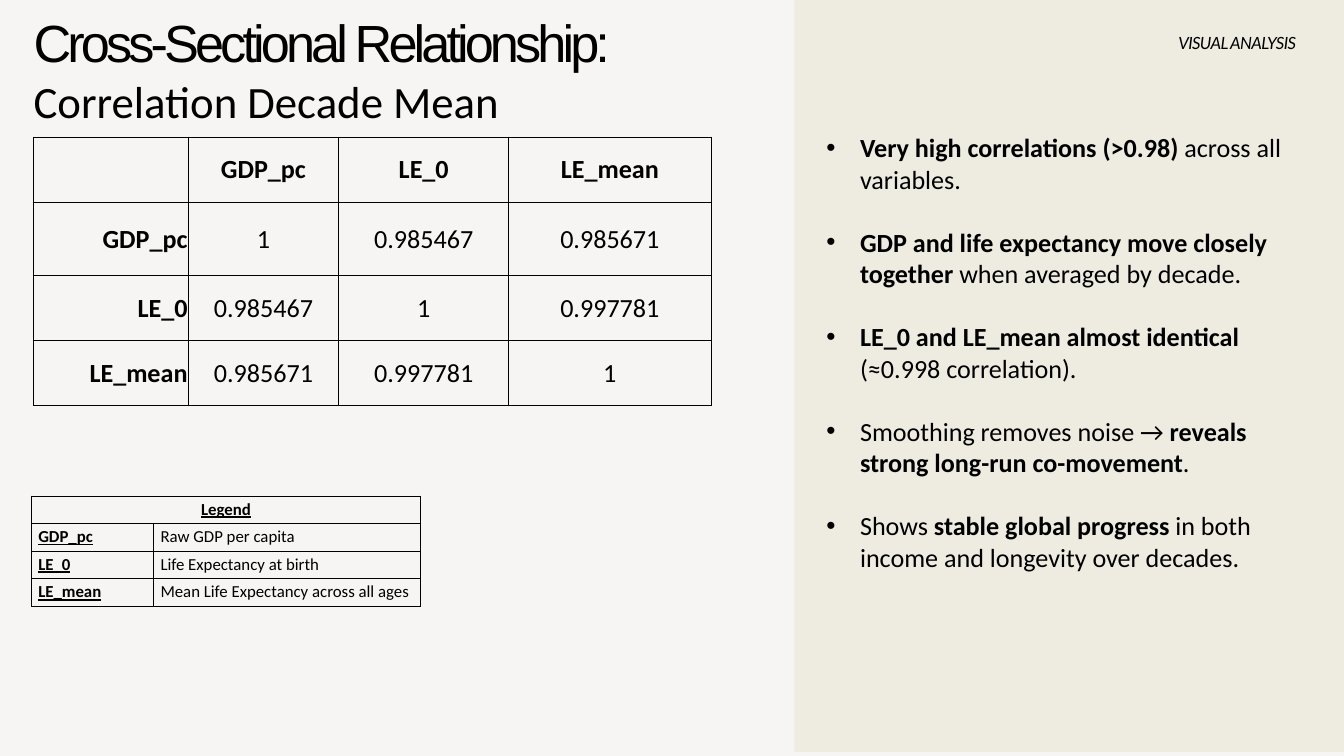
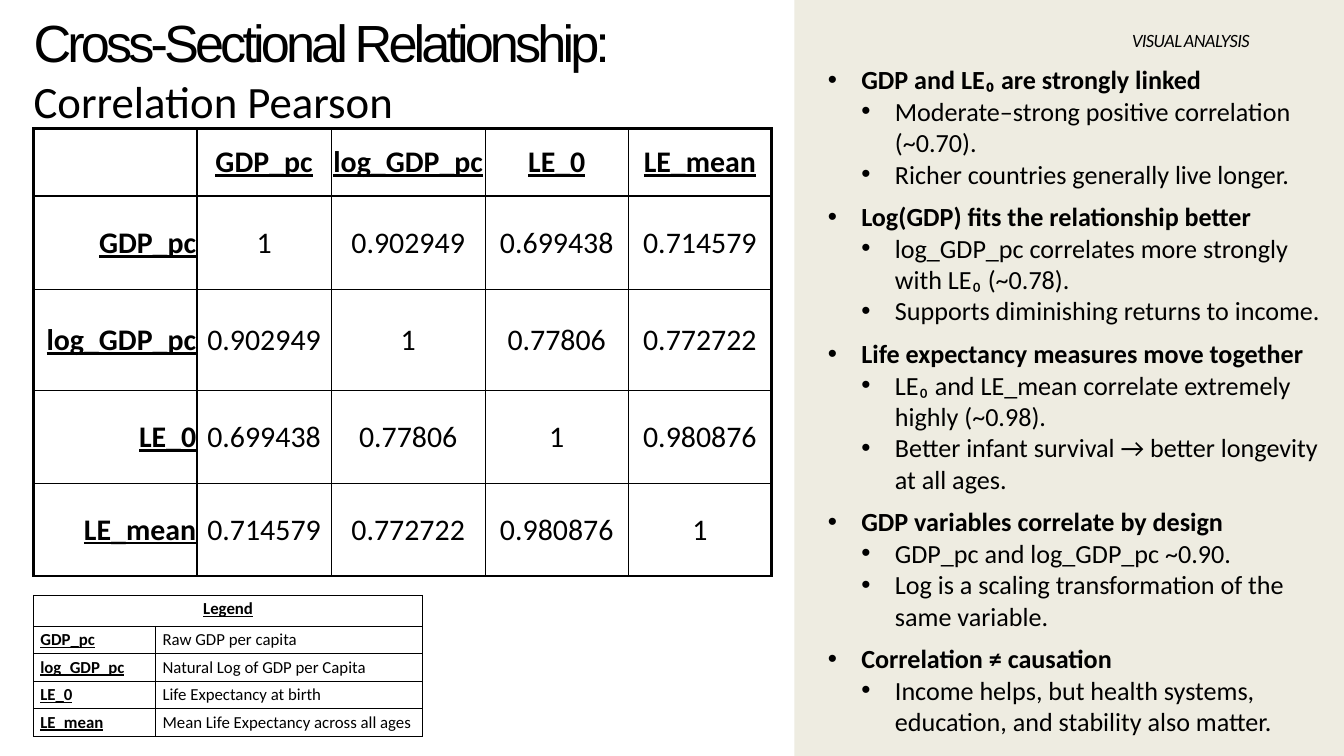
from lxml import etree
from pptx import Presentation
from pptx.dml.color import RGBColor
from pptx.enum.shapes import MSO_SHAPE
from pptx.enum.text import MSO_ANCHOR, MSO_AUTO_SIZE, PP_ALIGN
from pptx.oxml.ns import qn
from pptx.util import Pt

LEFT, CENTER, RIGHT = PP_ALIGN.LEFT, PP_ALIGN.CENTER, PP_ALIGN.RIGHT
TOP, MIDDLE = MSO_ANCHOR.TOP, MSO_ANCHOR.MIDDLE
GROW = MSO_AUTO_SIZE.SHAPE_TO_FIT_TEXT
RECTANGLE = MSO_SHAPE.RECTANGLE

COLORS = {"ink": "000000", "band": "EEECE1", "paper": "F6F5F3", "white": "FFFFFF"}
BODY_FONT, TITLE_FONT, LABEL_FONT = "Calibri", "Arial", "Lato"
SLIDE_WIDTH, SLIDE_HEIGHT = 1440, 810
BAND_LEFT = 851
TITLE_BOX = (36, 31, 929.5, 106.6)
LABEL_SIZE = (224.6, 24.5)
THIN, THICK = 1, 3
CELL_MARGIN = 0.72
LEGEND_COLUMNS = (131, 285.8)
LEGEND_ROW = 29.5
INDENT = 36

MEANINGS = {
    "GDP_pc": "Raw GDP per capita",
    "log_GDP_pc": "Natural Log of GDP per Capita",
    "LE_0": "Life Expectancy at birth",
    "LE_mean": "Mean Life Expectancy across all ages",
}

DECADE_NAMES = ["GDP_pc", "LE_0", "LE_mean"]
DECADE_VALUES = [
    ["1", "0.985467", "0.985671"],
    ["0.985467", "1", "0.997781"],
    ["0.985671", "0.997781", "1"],
]
PEARSON_NAMES = ["GDP_pc", "log_GDP_pc", "LE_0", "LE_mean"]
PEARSON_VALUES = [
    ["1", "0.902949", "0.699438", "0.714579"],
    ["0.902949", "1", "0.77806", "0.772722"],
    ["0.699438", "0.77806", "1", "0.980876"],
    ["0.714579", "0.772722", "0.980876", "1"],
]

# Bullets are (level, text); ** switches bold on and off.
DECADE_BULLETS = [
    (0, "**Very high correlations (>0.98)** across all variables."),
    (0, "**GDP and life expectancy move closely together** when averaged by decade."),
    (0, "**LE_0 and LE_mean almost identical** (≈0.998 correlation)."),
    (0, "Smoothing removes noise → **reveals strong long-run co-movement**."),
    (0, "Shows **stable global progress** in both income and longevity over decades."),
]
PEARSON_BULLETS = [
    (0, "**GDP and LE₀ are strongly linked**"),
    (1, "Moderate–strong positive correlation (~0.70)."),
    (1, "Richer countries generally live longer."),
    (0, "**Log(GDP) fits the relationship better**"),
    (1, "log_GDP_pc correlates more strongly with LE₀ (~0.78)."),
    (1, "Supports diminishing returns to income."),
    (0, "**Life expectancy measures move together**"),
    (1, "LE₀ and LE_mean correlate extremely highly (~0.98)."),
    (1, "Better infant survival → better longevity at all ages."),
    (0, "**GDP variables correlate by design**"),
    (1, "GDP_pc and log_GDP_pc ~0.90."),
    (1, "Log is a scaling transformation of the same variable."),
    (0, "**Correlation ≠ causation**"),
    (1, "Income helps, but health systems, education, and stability also matter."),
]


def color(name):
    return RGBColor.from_string(COLORS[name])


def points(values):
    return [Pt(value) for value in values]


def write(paragraph, text, size, font=BODY_FONT, bold=False, italic=False,
          underline=False, spacing=0, align=LEFT, line=None):
    """Add one formatted run; spacing is between letters, line is exact."""
    paragraph.alignment = align
    if line:
        paragraph.line_spacing = Pt(line)
    run = paragraph.add_run()
    run.text = text
    run.font.size = Pt(size)
    run.font.name = font
    run.font.bold = bold
    run.font.italic = italic
    run.font.underline = underline
    run.font.color.rgb = color("ink")
    if spacing:
        run._r.get_or_add_rPr().set("spc", str(round(spacing * 100)))


def prepare_frame(shape, margin=None):
    frame = shape.text_frame
    frame.word_wrap = True
    frame.auto_size = GROW
    frame.vertical_anchor = TOP
    if margin is not None:
        frame.margin_left = frame.margin_right = Pt(margin)
        frame.margin_top = frame.margin_bottom = Pt(margin)
    return frame


def add_band(slide, height):
    band = slide.shapes.add_shape(
        RECTANGLE, *points((BAND_LEFT, 0, SLIDE_WIDTH - BAND_LEFT, height)))
    band.shadow.inherit = False
    band.fill.solid()
    band.fill.fore_color.rgb = color("band")
    band.line.fill.background()
    slide.shapes._spTree.insert(2, band._element)  # behind the title


def set_title(slide, subtitle):
    title = slide.shapes.title
    title.left, title.top, title.width, title.height = points(TITLE_BOX)
    frame = prepare_frame(title, margin=0)
    write(frame.paragraphs[0], "Cross-Sectional Relationship:", 56,
          font=TITLE_FONT, spacing=-4.2, line=47.6)
    write(frame.add_paragraph(), subtitle, 48)


def add_section_label(slide, left, top):
    label = slide.shapes.add_textbox(*points((left, top, *LABEL_SIZE)))
    frame = prepare_frame(label, margin=0)
    write(frame.paragraphs[0], "VISUAL ANALYSIS", 18, font=LABEL_FONT,
          italic=True, spacing=-0.7, align=RIGHT, line=25.2)


def set_bullet(paragraph, level):
    paragraph.level = level
    properties = paragraph._p.get_or_add_pPr()
    properties.set("marL", str(Pt(INDENT * (level + 1))))
    properties.set("indent", str(Pt(-INDENT)))
    etree.SubElement(properties, qn("a:buFont")).set("typeface", "Arial")
    etree.SubElement(properties, qn("a:buChar")).set("char", "•")


def add_bullets(slide, box, bullets, gap):
    """Add a list with a gap above each top-level bullet but the first."""
    frame = prepare_frame(slide.shapes.add_textbox(*points(box)))
    for index, (level, text) in enumerate(bullets):
        paragraph = frame.add_paragraph() if index else frame.paragraphs[0]
        set_bullet(paragraph, level)
        if index and level == 0:
            paragraph.space_before = Pt(gap)
        for part, words in enumerate(text.split("**")):
            if words:
                write(paragraph, words, 28, bold=part % 2 == 1)


def set_borders(cell, widths):
    """Draw the left, right, top and bottom border of a cell."""
    properties = cell._tc.get_or_add_tcPr()
    for side, width in zip("LRTB", widths):
        border = etree.SubElement(properties, qn(f"a:ln{side}"), w=str(Pt(width)))
        fill = etree.SubElement(border, qn("a:solidFill"))
        etree.SubElement(fill, qn("a:srgbClr"), val=COLORS["ink"])


def add_grid(slide, left, top, columns, rows, frame_width=THIN):
    """Add an empty table; frame_width rules its outside and its headers."""
    box = points((left, top, sum(columns), sum(rows)))
    table = slide.shapes.add_table(len(rows), len(columns), *box).table
    table.first_row = table.horz_banding = False
    for column, width in zip(table.columns, columns):
        column.width = Pt(width)
    for row, height in zip(table.rows, rows):
        row.height = Pt(height)

    def rule(index, count):
        return frame_width if index in (0, 1, count) else THIN

    for r in range(len(rows)):
        for c in range(len(columns)):
            cell = table.cell(r, c)
            set_borders(cell, (rule(c, len(columns)), rule(c + 1, len(columns)),
                               rule(r, len(rows)), rule(r + 1, len(rows))))
            cell.fill.background()
    return table


def add_correlations(slide, left, top, columns, rows, names, values, size,
                     underline=False, frame_width=THIN):
    table = add_grid(slide, left, top, columns, rows, frame_width)
    grid = [["", *names]] + [[name, *row] for name, row in zip(names, values)]
    for r, row in enumerate(grid):
        for c, text in enumerate(row):
            if not text:
                continue
            cell = table.cell(r, c)
            cell.vertical_anchor = MIDDLE
            cell.margin_left = cell.margin_right = cell.margin_top = Pt(CELL_MARGIN)
            cell.margin_bottom = 0
            header = r == 0 or c == 0
            write(cell.text_frame.paragraphs[0], text, size, bold=header,
                  underline=header and underline, align=CENTER if c else RIGHT)


def add_legend(slide, left, top, names, heading_height=LEGEND_ROW):
    rows = [heading_height] + [LEGEND_ROW] * len(names)
    table = add_grid(slide, left, top, LEGEND_COLUMNS, rows)
    heading = table.cell(0, 0)
    heading.merge(table.cell(0, 1))
    write(heading.text_frame.paragraphs[0], "Legend", 18, bold=True,
          underline=True, align=CENTER)
    for r, name in enumerate(names, start=1):
        write(table.cell(r, 0).text_frame.paragraphs[0], name, 18,
              bold=True, underline=True)
        write(table.cell(r, 1).text_frame.paragraphs[0], MEANINGS[name], 18)


def start_slide(presentation, background, subtitle, band_height):
    slide = presentation.slides.add_slide(presentation.slide_layouts[5])
    slide.background.fill.solid()
    slide.background.fill.fore_color.rgb = color(background)
    add_band(slide, band_height)
    set_title(slide, subtitle)
    return slide


def add_decade_slide(presentation):
    slide = start_slide(presentation, "paper", "Correlation Decade Mean", 805.7)
    add_section_label(slide, 1164.2, 31)
    add_correlations(slide, 36, 146.9, (165.6, 161.3, 182.2, 216.7),
                     (69.8, 78.5, 69.8, 69.8), DECADE_NAMES, DECADE_VALUES, 28)
    add_legend(slide, 33.8, 531.4, DECADE_NAMES)
    add_bullets(slide, (878.4, 137.5, 534.2, 482.4), DECADE_BULLETS, gap=34)


def add_pearson_slide(presentation):
    slide = start_slide(presentation, "white", "Correlation Pearson", SLIDE_HEIGHT)
    add_section_label(slide, 1114.6, 29.5)
    add_correlations(slide, 36, 137.5, (175, 144, 164.9, 153.4, 153.4),
                     (72.7, 99.4, 108.7, 99.4, 99.4), PEARSON_NAMES,
                     PEARSON_VALUES, 32, underline=True, frame_width=THICK)
    add_bullets(slide, (879.8, 64.8, 547.9, 734.4), PEARSON_BULLETS, gap=12.2)
    add_legend(slide, 36, 637.9, PEARSON_NAMES, heading_height=33.1)


def main():
    presentation = Presentation()
    presentation.slide_width = Pt(SLIDE_WIDTH)
    presentation.slide_height = Pt(SLIDE_HEIGHT)
    add_decade_slide(presentation)
    add_pearson_slide(presentation)
    presentation.save("out.pptx")


if __name__ == "__main__":
    main()
